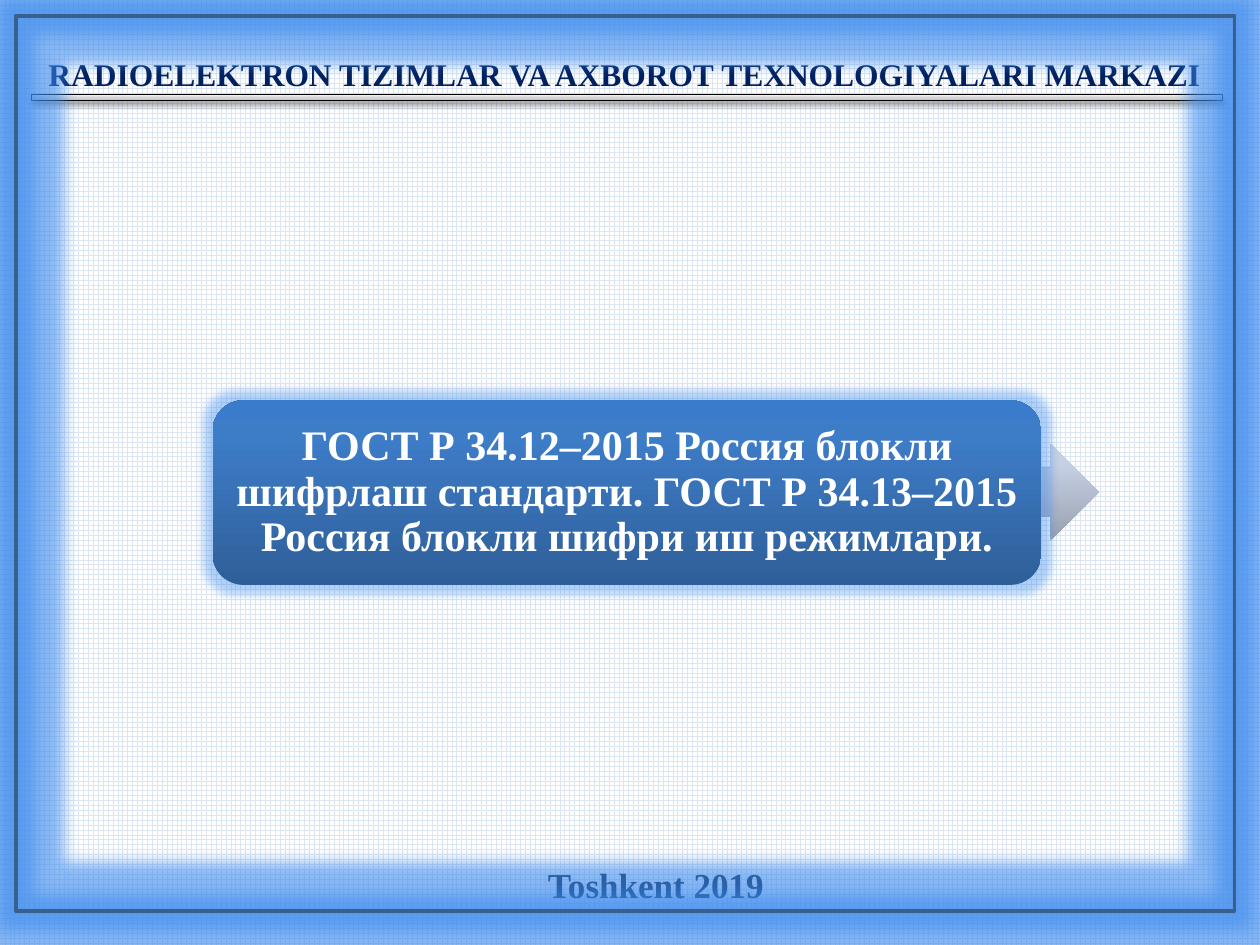
import pptx
import pptx.util
import pptx.dml.color
import pptx.enum.dml
import pptx.enum.shapes
import pptx.enum.text
import pptx.oxml
import pptx.oxml.ns

Pt = pptx.util.Pt
RGBColor = pptx.dml.color.RGBColor
Shape = pptx.enum.shapes.MSO_SHAPE
Align = pptx.enum.text.PP_ALIGN
Anchor = pptx.enum.text.MSO_ANCHOR

WHITE = RGBColor(0xFF, 0xFF, 0xFF)
BLACK = RGBColor(0x00, 0x00, 0x00)
GRID = RGBColor(0xDC, 0xE6, 0xF2)
NAVY = RGBColor(0x00, 0x20, 0x60)
INK = RGBColor(0x0F, 0x24, 0x3E)
FRAME = RGBColor(0x3A, 0x5F, 0x8C)
GLOW = RGBColor(0x3B, 0x8A, 0xEE)
RULE_STOPS = [(0, RGBColor(0xBD, 0xBD, 0xBD)), (35, RGBColor(0xD1, 0xD1, 0xD1)),
              (100, RGBColor(0xEE, 0xEE, 0xEE))]
ARROW_STOPS = [(0, RGBColor(0x99, 0xA0, 0xAF)), (80, RGBColor(0xC6, 0xD0, 0xE4)),
               (100, RGBColor(0xC7, 0xD1, 0xE5))]
TOPIC_STOPS = [(0, RGBColor(0x2F, 0x5F, 0x99)), (80, RGBColor(0x3D, 0x7C, 0xC7)),
               (100, RGBColor(0x3A, 0x7C, 0xCB))]


class SlideBuilder:
    font = "Times New Roman"

    def __init__(self, slide):
        self.slide = slide

    def element(self, tag, attributes, color, alpha=100):
        return pptx.oxml.parse_xml(
            f'<a:{tag} {pptx.oxml.ns.nsdecls("a")} {attributes}>'
            f'<a:srgbClr val="{color}"><a:alpha val="{alpha * 1000}"/></a:srgbClr></a:{tag}>')

    def background(self, pattern, fore, back):
        fill = self.slide.background.fill
        fill.patterned()
        fill.pattern = pattern
        fill.fore_color.rgb = fore
        fill.back_color.rgb = back

    def shape(self, kind, box, stops=None, line=None, line_width=0.75):
        shape = self.slide.shapes.add_shape(kind, *map(Pt, box))
        shape.shadow.inherit = False
        if stops:
            self.gradient(shape.fill, stops)
        else:
            shape.fill.background()
        if line is None:
            shape.line.fill.background()
        else:
            shape.line.color.rgb = line
            shape.line.width = Pt(line_width)
        return shape

    def gradient(self, fill, stops):
        fill.gradient()
        fill.gradient_angle = 90
        stop_list = fill._xPr.find(".//" + pptx.oxml.ns.qn("a:gsLst"))
        stop_list.clear()
        for position, color in stops:
            stop_list.append(self.element("gs", f'pos="{position * 1000}"', color))

    def effect(self, shape, element):
        shape._element.spPr.find(pptx.oxml.ns.qn("a:effectLst")).append(element)

    def glow(self, shape, radius, alpha):
        self.effect(shape, self.element("glow", f'rad="{Pt(radius)}"', GLOW, alpha))

    def drop_shadow(self, shape, blur, distance, alpha):
        attributes = (f'blurRad="{Pt(blur)}" dist="{Pt(distance)}" '
                      'dir="5400000" rotWithShape="0"')
        self.effect(shape, self.element("outerShdw", attributes, BLACK, alpha))

    def label(self, shape, text, size, color, align=Align.CENTER, anchor=Anchor.MIDDLE):
        frame = shape.text_frame
        frame.word_wrap = True
        frame.vertical_anchor = anchor
        paragraph = frame.paragraphs[0]
        paragraph.text = text
        paragraph.alignment = align
        paragraph.font.name = self.font
        paragraph.font.size = Pt(size)
        paragraph.font.bold = True
        paragraph.font.color.rgb = color
        return frame

    def text(self, box, *content, **layout):
        return self.label(self.slide.shapes.add_textbox(*map(Pt, box)), *content, **layout)


def main():
    presentation = pptx.Presentation()
    presentation.slide_width = Pt(720)
    presentation.slide_height = Pt(540)
    builder = SlideBuilder(presentation.slides.add_slide(presentation.slide_layouts[6]))
    builder.background(pptx.enum.dml.MSO_PATTERN.LARGE_GRID, GRID, WHITE)

    builder.text((18, 24, 678, 36),
                 "RADIOELEKTRON TIZIMLAR VA AXBOROT ТЕХNOLOGIYALARI MARKAZI", 18, NAVY)
    rule = builder.shape(Shape.RECTANGLE, (18, 54, 680.4, 3.6), RULE_STOPS, BLACK)
    builder.drop_shadow(rule, 3.1, 1.6, 38)

    builder.text((306, 489.6, 138.5, 31.5), "Toshkent 2019", 20, INK,
                 align=Align.LEFT, anchor=Anchor.TOP)
    border = builder.shape(Shape.RECTANGLE, (9, 9, 696.5, 511.5), line=FRAME, line_width=2)
    builder.glow(border, 18, 60)

    builder.shape(Shape.RIGHT_ARROW, (186, 253.5, 442, 55.5), ARROW_STOPS)
    topic = builder.shape(Shape.ROUNDED_RECTANGLE, (121.5, 228.75, 473.5, 105.5), TOPIC_STOPS)
    builder.glow(topic, 11, 40)
    topic_text = builder.label(
        topic,
        "ГОСТ Р 34.12–2015 Россия блокли шифрлаш стандарти. "
        "ГОСТ Р 34.13–2015 Россия блокли шифри иш режимлари.", 24, WHITE)
    topic_text.margin_top = topic_text.margin_bottom = Pt(7.2)
    topic_text.paragraphs[0].line_spacing = 0.9

    presentation.save("out.pptx")


if __name__ == "__main__":
    main()
